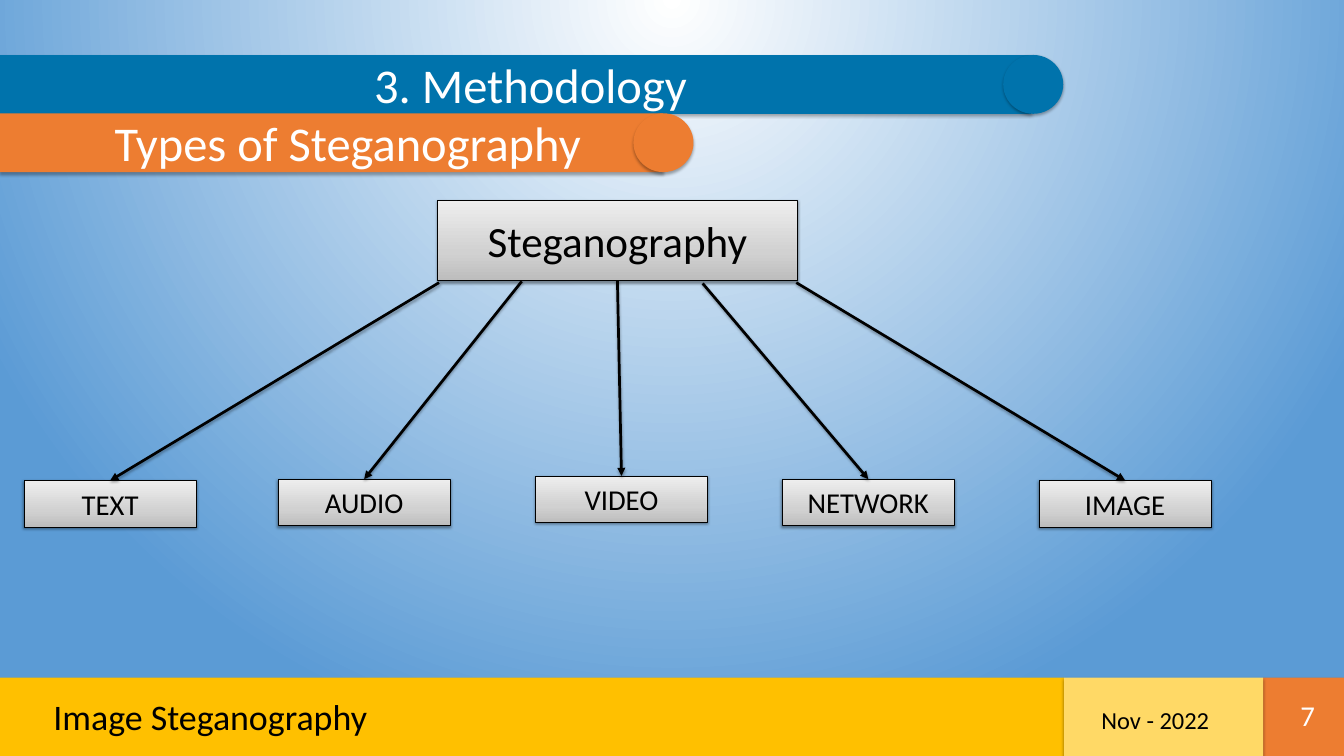
from copy import deepcopy
from dataclasses import dataclass

from lxml.etree import SubElement
from pptx import Presentation
from pptx.dml.color import RGBColor
from pptx.enum.shapes import MSO_CONNECTOR, MSO_SHAPE
from pptx.enum.text import MSO_ANCHOR, MSO_AUTO_SIZE, PP_ALIGN
from pptx.oxml.ns import qn
from pptx.util import Cm, Pt


@dataclass(frozen=True)
class Theme:
    font: str = "Calibri"
    black: str = "000000"
    white: str = "FFFFFF"
    blue: str = "0073AC"
    orange: str = "ED7D31"
    amber: str = "FFC000"
    sand: str = "FFD966"
    sky_stops: tuple = ((0, "FFFFFF"), (1, "5B9BD5"))
    box_stops: tuple = ((0, "BDBDBD"), (0.35, "D1D1D1"), (1, "EEEEEE"))
    heading: float = 54
    root: float = 48
    footer: float = 40
    label: float = 32
    date: float = 27.2
    # Shadows: opacity in percent, blur and distance in points
    bar_shadow: tuple = (32, 3.5, 2.2)
    box_shadow: tuple = (38, 3.1, 1.6)
    arrow_shadow: tuple = (35, 3.1, 1.8)


theme = Theme()


def cast_shadow(shape, shadow):
    """Give a shape or connector a soft black shadow straight below it."""
    opacity, blur, distance = shadow
    effects = SubElement(shape.element.spPr, qn("a:effectLst"))
    outer = SubElement(effects, qn("a:outerShdw"), blurRad=str(Pt(blur)),
                       dist=str(Pt(distance)), dir="5400000", rotWithShape="0")
    color = SubElement(outer, qn("a:srgbClr"), val=theme.black)
    SubElement(color, qn("a:alpha"), val=str(opacity * 1000))


def write(shape, text, size, color, align, **frame_format):
    """Set the one line of text in a shape; frame_format goes to its frame."""
    frame = shape.text_frame
    frame.text = text
    frame_values = {"word_wrap": True, "auto_size": MSO_AUTO_SIZE.NONE,
                    "vertical_anchor": MSO_ANCHOR.TOP, **frame_format}
    for name, value in frame_values.items():
        setattr(frame, name, value)
    line = frame.paragraphs[0]
    line.alignment, line.line_spacing = align, 1.0
    font_values = {"name": theme.font, "size": Pt(size)}
    for name, value in font_values.items():
        setattr(line.runs[0].font, name, value)
    line.runs[0].font.color.rgb = RGBColor.from_string(color)
    return line


deck = Presentation()
deck.slide_width, deck.slide_height = Cm(52.81), Cm(29.69)
slide = deck.slides.add_slide(deck.slide_layouts[5])
shapes = slide.shapes

# Background: radial glow centred above the top edge
sky = slide.background.fill
sky.gradient()
for stop, (position, color) in zip(sky.gradient_stops, theme.sky_stops):
    stop.position, stop.color.rgb = position, RGBColor.from_string(color)
linear = next(slide.element.iter(qn("a:lin")))
glow = SubElement(linear.getparent(), qn("a:path"), path="circle")
SubElement(glow, qn("a:fillToRect"), l="50000", t="-80000", r="50000", b="180000")
linear.getparent().remove(linear)

# Heading bars with round ends
bar_height, cap_width = 2.31, 2.36
subtitle = shapes.add_shape(MSO_SHAPE.RECTANGLE, 0, 0, 0, 0)
headings = [
    (shapes.title, "3. Methodology", theme.blue, -0.08, 2.16, 40.59, 39.42),
    (subtitle, "Types of Steganography", theme.orange, 0, 4.45, 26.06, 24.89),
]
for bar, text, color, left, top, width, cap_left in headings:
    place = {"left": left, "top": top, "width": width, "height": bar_height}
    for name, value in place.items():
        setattr(bar, name, Cm(value))
    line = write(bar, text, theme.heading, theme.white, PP_ALIGN.CENTER,
                 margin_left=0, margin_top=0, margin_right=0, margin_bottom=0)
    line._p.get_or_add_pPr().set("marL", str(Cm(1.27)))
    cap = shapes.add_shape(MSO_SHAPE.OVAL, Cm(cap_left), Cm(top),
                           Cm(cap_width), Cm(bar_height))
    for part in (bar, cap):
        part.fill.solid()
        part.fill.fore_color.rgb = RGBColor.from_string(color)
        part.line.fill.background()
        cast_shadow(part, theme.bar_shadow)

# Footer bands
for left, width, color in [(-0.05, 41.86, theme.amber),
                           (49.63, 3.18, theme.orange),
                           (41.81, 7.82, theme.sand)]:
    band = shapes.add_shape(MSO_SHAPE.RECTANGLE, Cm(left), Cm(26.61),
                            Cm(width), Cm(3.08))
    band.fill.solid()
    band.fill.fore_color.rgb = RGBColor.from_string(color)
    band.line.fill.background()
    cast_shadow(band, theme.bar_shadow)

# Footer texts
footer_texts = [
    ("Image Steganography", 1.85, 27.15, 31.32, 1.96, theme.footer,
     theme.black, PP_ALIGN.LEFT, MSO_ANCHOR.TOP),
    ("7", 50.32, 27.53, 1.6, 1.07, theme.label,
     theme.white, PP_ALIGN.RIGHT, MSO_ANCHOR.MIDDLE),
    ("Nov - 2022", 43.03, 27.58, 6.22, 1.42, theme.date,
     theme.black, PP_ALIGN.LEFT, MSO_ANCHOR.TOP),
]
for text, left, top, width, height, size, color, align, anchor in footer_texts:
    note = shapes.add_textbox(Cm(left), Cm(top), Cm(width), Cm(height))
    write(note, text, size, color, align, vertical_anchor=anchor)

# Tree boxes: the root, then its five types
tree = [
    ("Steganography", 17.2, 7.85, 14.12, 3.18, theme.root),
    ("TEXT", 0.94, 18.87, 6.78, 1.83, theme.label),
    ("AUDIO", 10.92, 18.82, 6.78, 1.83, theme.label),
    ("VIDEO", 21.03, 18.69, 6.78, 1.83, theme.label),
    ("NETWORK", 30.73, 18.82, 6.78, 1.83, theme.label),
    ("IMAGE", 40.82, 18.87, 6.78, 1.83, theme.label),
]
boxes = []
for text, left, top, width, height, size in tree:
    box = shapes.add_shape(MSO_SHAPE.RECTANGLE, Cm(left), Cm(top),
                           Cm(width), Cm(height))
    box.fill.gradient()
    box.fill.gradient_angle = 90
    stop_list = next(box.element.iter(qn("a:gsLst")))
    stop_list.insert(1, deepcopy(stop_list[0]))
    for stop, (position, color) in zip(box.fill.gradient_stops, theme.box_stops):
        stop.position, stop.color.rgb = position, RGBColor.from_string(color)
    box.line.color.rgb = RGBColor.from_string(theme.black)
    box.line.width = Pt(0.75)
    cast_shadow(box, theme.box_shadow)
    write(box, text, size, theme.black, PP_ALIGN.CENTER,
          vertical_anchor=MSO_ANCHOR.MIDDLE)
    boxes.append(box)

# Arrows from the root's lower edge to the top of each type
root_exits = [(17.25, 11.1), (20.5, 11.05), (24.26, 11.03),
              (27.61, 11.13), (31.29, 11.1)]
for (x, y), kind in zip(root_exits, boxes[1:]):
    arrow = shapes.add_connector(MSO_CONNECTOR.STRAIGHT, Cm(x), Cm(y),
                                 kind.left + kind.width // 2, kind.top)
    arrow.end_connect(kind, 0)
    arrow.line.color.rgb = RGBColor.from_string(theme.black)
    arrow.line.width = Pt(3)
    SubElement(arrow.element.spPr.find(qn("a:ln")), qn("a:tailEnd"), type="triangle")
    cast_shadow(arrow, theme.arrow_shadow)

deck.save("out.pptx")
